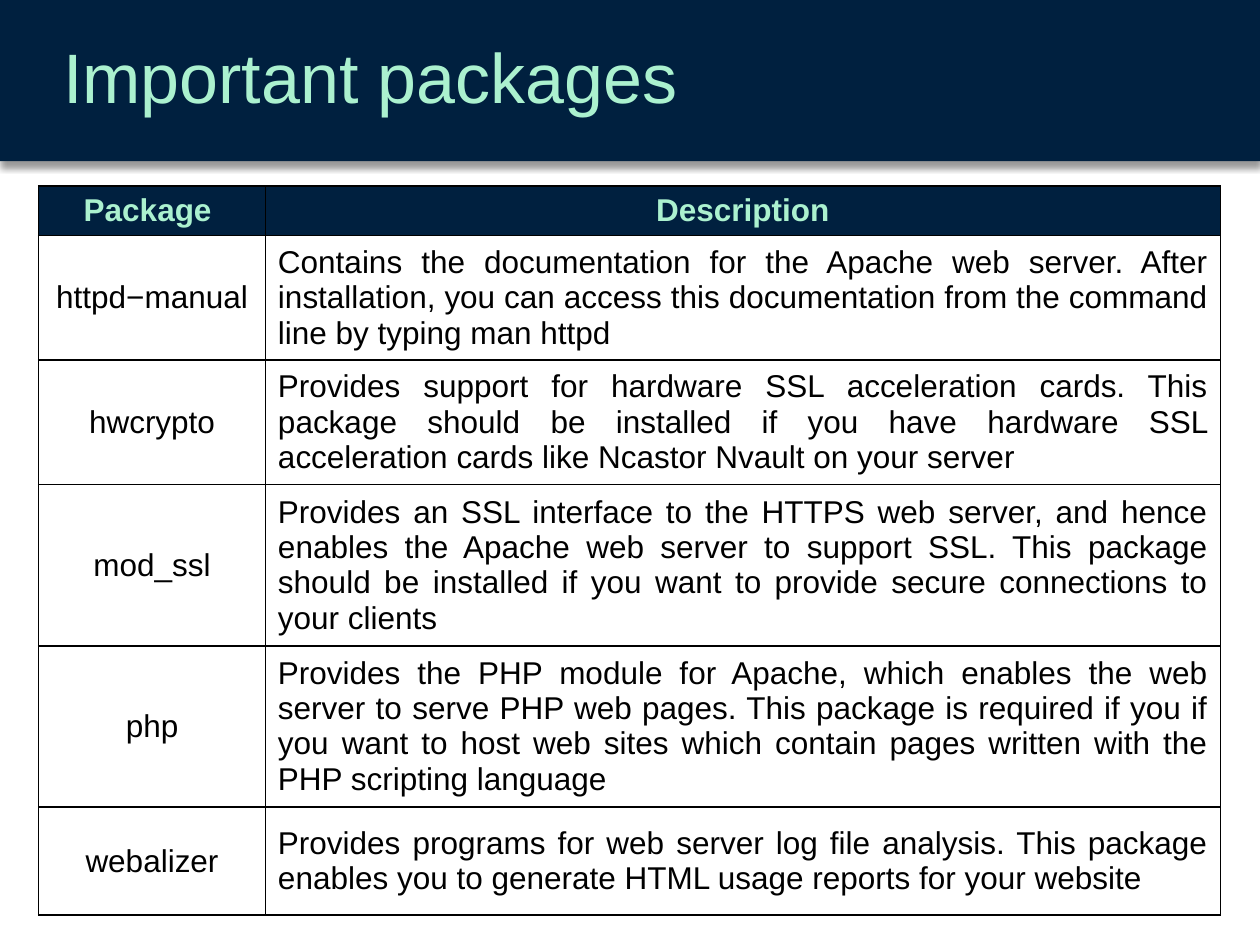
from lxml.etree import SubElement
from pptx import Presentation
from pptx.dml.color import RGBColor
from pptx.enum.shapes import MSO_SHAPE
from pptx.enum.text import MSO_ANCHOR, MSO_AUTO_SIZE, PP_ALIGN
from pptx.oxml import parse_xml
from pptx.oxml.ns import qn
from pptx.util import Cm, Pt

HUES = {"navy": "00203F", "mint": "ABF1CF", "black": "000000", "white": "FFFFFF"}
FONT = "Arial"
TITLE = "Important packages"
HEAD = ("Package ", "Description")
ROWS = [
    ("httpd−manual", "Contains the documentation for the Apache web server. After installation, you can access this documentation from the command line by typing man httpd"),
    ("hwcrypto", "Provides support for hardware SSL acceleration cards. This package should be installed if you have hardware SSL acceleration cards like Ncastor Nvault on your server"),
    ("mod_ssl", "Provides an SSL interface to the HTTPS web server, and hence enables the Apache web server to support SSL. This package should be installed if you want to provide secure connections to your clients"),
    ("php", "Provides the PHP module for Apache, which enables the web server to serve PHP web pages. This package is required if you if you want to host web sites which contain pages written with the PHP scripting language"),
    ("webalizer", "Provides programs for web server log file analysis. This package enables you to generate HTML usage reports for your website"),
]
WIDTHS = (4.57, 19.25)
HEIGHTS = (1.0, 2.51, 2.51, 3.25, 3.25, 2.18)
BAND = 3.25
SHADOW = (
    '<a:effectLst xmlns:a="http://schemas.openxmlformats.org/drawingml/2006/main">'
    '<a:outerShdw blurRad="50800" dist="38100" dir="5400000" algn="t" rotWithShape="0">'
    '<a:srgbClr val="{}"><a:alpha val="40000"/></a:srgbClr></a:outerShdw></a:effectLst>'
)


def color(name):
    return RGBColor.from_string(HUES[name])


def paint(shape, name):
    shape.fill.solid()
    shape.fill.fore_color.rgb = color(name)


def write(para, text, size, hue, align, bold=False):
    para.alignment = align
    run = para.add_run()
    run.text = text
    font = run.font
    font.name, font.size, font.bold = FONT, Pt(size), bold
    font.color.rgb = color(hue)


def frame(cell):
    props = cell._tc.get_or_add_tcPr()
    for side in ("L", "R", "T", "B"):
        line = SubElement(props, qn("a:ln" + side), w=str(Pt(1)))
        fill = SubElement(line, qn("a:solidFill"))
        SubElement(fill, qn("a:srgbClr"), val=HUES["black"])


def add_band(slide):
    band = slide.shapes.add_shape(MSO_SHAPE.RECTANGLE, 0, 0, Cm(25.4), Cm(BAND))
    paint(band, "navy")
    band.line.fill.background()
    band._element.spPr.append(parse_xml(SHADOW.format(HUES["black"])))
    slide.shapes._spTree.insert(2, band._element)


def add_title(slide):
    title = slide.shapes.title
    title.left, title.top, title.width, title.height = Cm(1.02), 0, Cm(24.38), Cm(BAND)
    text = title.text_frame
    text.auto_size = MSO_AUTO_SIZE.NONE
    text.vertical_anchor = MSO_ANCHOR.MIDDLE
    para = text.paragraphs[0]
    para.line_spacing = 0.9
    write(para, TITLE, 40, "mint", PP_ALIGN.LEFT)


def add_grid(slide):
    data = [HEAD, *ROWS]
    grid = slide.shapes.add_table(
        len(data), len(HEAD), Cm(0.78), Cm(3.75), Cm(sum(WIDTHS)), Cm(sum(HEIGHTS))
    ).table
    for col, width in zip(grid.columns, WIDTHS):
        col.width = Cm(width)
    for row, height in zip(grid.rows, HEIGHTS):
        row.height = Cm(height)
    for r, texts in enumerate(data):
        top = r == 0
        for c, text in enumerate(texts):
            cell = grid.cell(r, c)
            frame(cell)
            paint(cell, "navy" if top else "white")
            cell.vertical_anchor = MSO_ANCHOR.MIDDLE
            align = PP_ALIGN.CENTER if top or c == 0 else PP_ALIGN.JUSTIFY
            para = cell.text_frame.paragraphs[0]
            write(para, text, 18, "mint" if top else "black", align, top)


def main():
    deck = Presentation()
    deck.slide_width, deck.slide_height = Cm(25.4), Cm(19.05)
    slide = deck.slides.add_slide(deck.slide_layouts[5])
    add_band(slide)
    add_title(slide)
    add_grid(slide)
    deck.save("out.pptx")


if __name__ == "__main__":
    main()
